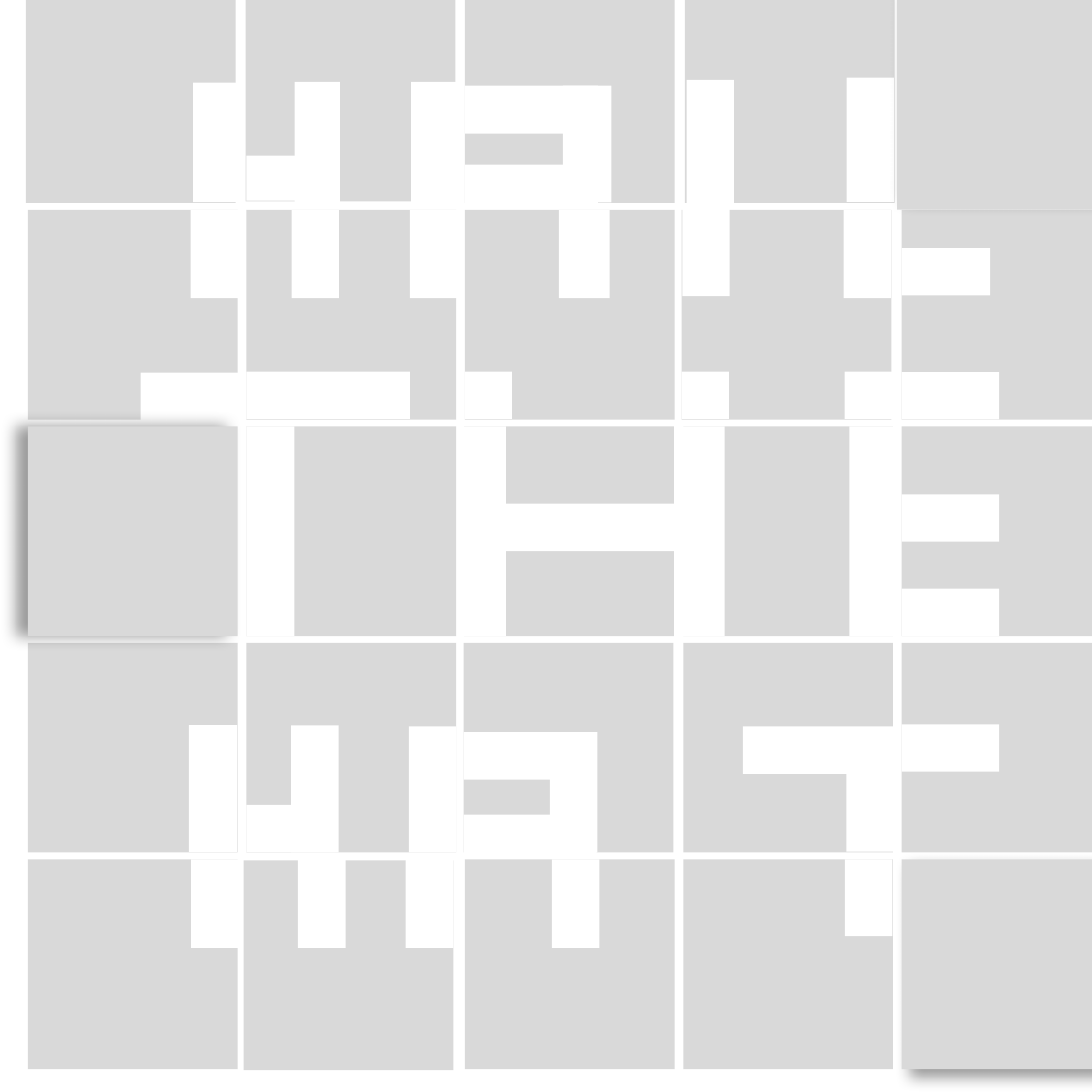
import pptx
import pptx.util
import pptx.dml.color
import pptx.enum.shapes
import pptx.oxml

Pt = pptx.util.Pt

SIDE = 283.68
TILE = 54.5
LEFT, TOP = 7.25, -1.75
STEP_X, STEP_Y = 56.75, 56.25
GRAY, WHITE, BLACK = "D9D9D9", "FFFFFF", "000000"

BARS = {
    (0, 0): [(42.9, 23.2, 11.7, 31.1)],
    (0, 1): [(12.6, 23, 11.8, 31.2), (0, 42.2, 21.6, 11.7), (42.8, 23, 11.8, 31.2)],
    (0, 2): [(25.5, 24, 12.6, 30.4), (0, 44.5, 34.6, 10), (0, 24, 34.6, 12.5)],
    (0, 3): [(0.9, 22.5, 12.3, 32), (42.5, 21.9, 12.3, 32.3)],
    (1, 0): [(42.3, 0, 12.3, 23), (29.3, 42.3, 25.3, 12.3)],
    (1, 1): [(11.8, 0, 12.3, 23), (0, 42.1, 42.5, 12.3), (42.5, 0, 12.3, 23)],
    (1, 2): [(0, 42.1, 12.3, 12.3), (24.5, 0, 13.2, 23)],
    (1, 3): [(-0.2, -0.5, 12.3, 23), (41.7, 0, 12.3, 23),
             (42, 42.1, 12.3, 12.3), (-0.4, 42.1, 12.3, 12.3)],
    (1, 4): [(0, 10, 23, 12.3), (0, 42.2, 25.3, 12.3)],
    (2, 1): [(0, 0, 12.5, 54.5)],
    (2, 2): [(-0.4, 0, 11.1, 54.5), (10.2, 20.1, 44.4, 12.4)],
    (2, 3): [(43.2, 0, 11.4, 54.5), (-0.4, 0, 11.2, 54.5)],
    (2, 4): [(0, 17.7, 25.3, 12.3), (0, 42.2, 25.3, 12.3)],
    (3, 0): [(41.8, 21.4, 12.6, 33)],
    (3, 1): [(11.6, 21.5, 12.4, 33), (0, 42.1, 23, 12.3), (42.2, 21.7, 12.4, 32.8)],
    (3, 2): [(22.1, 23.2, 12.4, 31.3), (-0.3, 44.6, 34.6, 10), (-0.3, 23.2, 34.6, 12.4)],
    (3, 3): [(42.4, 31.7, 12.2, 22.6), (15.5, 21.7, 39.1, 12.4)],
    (3, 4): [(0, 21.2, 25.3, 12.3)],
    (4, 0): [(42.4, 0, 12.3, 23)],
    (4, 1): [(13.4, 0, 12.4, 23), (41.4, 0, 12.4, 23)],
    (4, 2): [(22.6, 0, 12.4, 23)],
    (4, 3): [(42, 0, 12.4, 20)],
}
SHADE = {(2, 0): 180, (0, 4): 315, (4, 4): 45}
SHIFT = {(0, 0): (-0.5, 0), (0, 1): (-0.2, -0.4), (0, 3): (0.4, 0),
         (0, 4): (-1.2, 1.75), (1, 3): (-0.4, 0), (2, 2): (-0.2, 0),
         (3, 2): (-0.3, 0), (4, 1): (-0.7, 0.3)}


def color(code):
    return pptx.dml.color.RGBColor.from_string(code)


def rect(home, x, y, w, h, fill):
    box = home.add_shape(pptx.enum.shapes.MSO_SHAPE.RECTANGLE,
                         Pt(x), Pt(y), Pt(w), Pt(h))
    box.shadow.inherit = False
    box.fill.solid()
    box.fill.fore_color.rgb = color(fill)
    box.line.fill.background()
    return box


def shade(box, angle):
    old = box.element.spPr.find(pptx.oxml.ns.qn("a:effectLst"))
    new = pptx.oxml.parse_xml(
        f'<a:effectLst {pptx.oxml.ns.nsdecls("a")}>'
        f'<a:outerShdw blurRad="{Pt(4)}" dist="{Pt(3)}" dir="{angle * 60000}" '
        f'algn="ctr" rotWithShape="0"><a:srgbClr val="{BLACK}">'
        '<a:alpha val="40000"/></a:srgbClr></a:outerShdw></a:effectLst>')
    box.element.spPr.replace(old, new)


def tile(home, row, col):
    x, y = LEFT + col * STEP_X, TOP + row * STEP_Y
    dx, dy = SHIFT.get((row, col), (0, 0))
    return rect(home, x + dx, y + dy, TILE, TILE, GRAY), x, y


def main():
    deck = pptx.Presentation()
    deck.slide_width = deck.slide_height = Pt(SIDE)
    page = deck.slides.add_slide(deck.slide_layouts[6])
    for (row, col), bars in BARS.items():
        home = page.shapes.add_group_shape().shapes
        base, x, y = tile(home, row, col)
        for bx, by, w, h in bars:
            rect(home, x + bx, y + by, w, h, WHITE)
    for (row, col), angle in SHADE.items():
        base, x, y = tile(page.shapes, row, col)
        shade(base, angle)
    deck.save("out.pptx")


if __name__ == "__main__":
    main()
